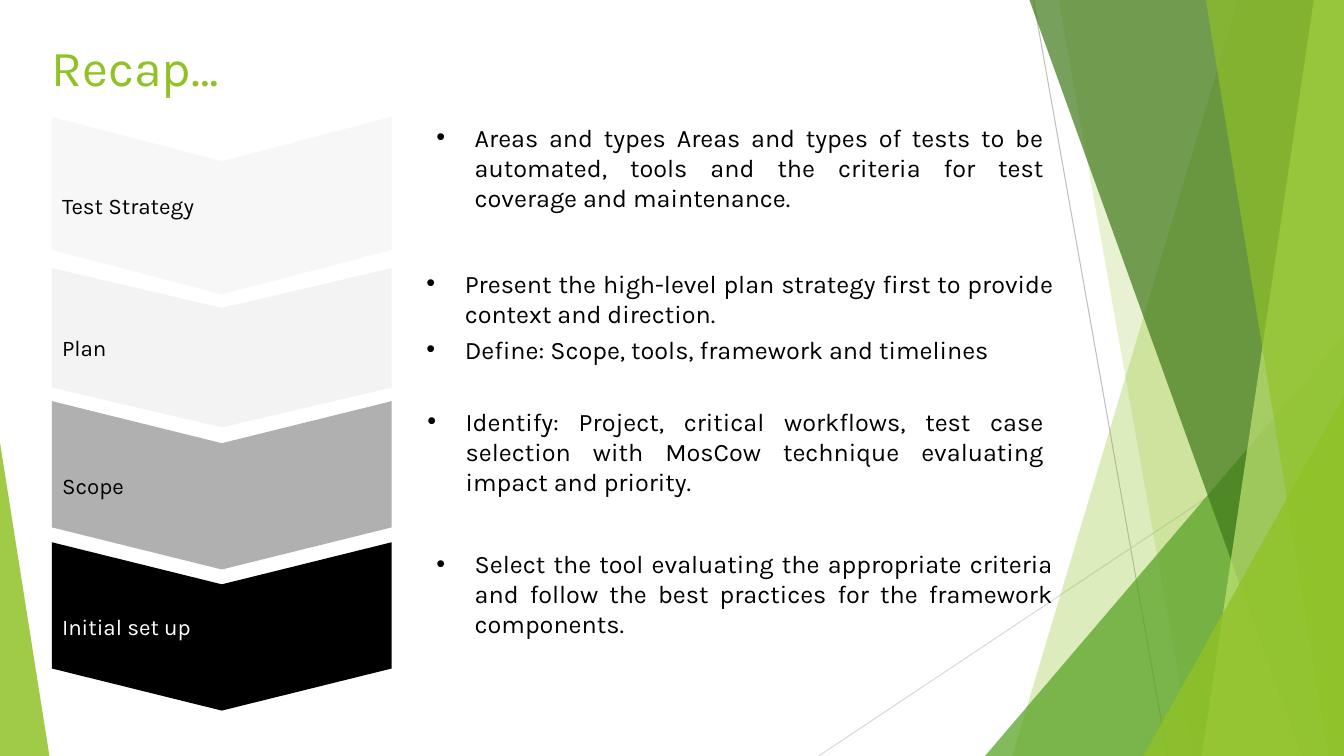
"""Build the recap slide: four stacked chevrons with notes beside them."""
from lxml import etree
from pptx import Presentation
from pptx.dml.color import RGBColor
from pptx.enum.shapes import MSO_CONNECTOR, MSO_SHAPE
from pptx.enum.text import MSO_ANCHOR, PP_ALIGN
from pptx.oxml.ns import qn
from pptx.util import Inches, Pt

LINE = MSO_CONNECTOR.STRAIGHT
CHEVRON = MSO_SHAPE.CHEVRON
WEDGE = MSO_SHAPE.ISOSCELES_TRIANGLE
MIDDLE, TOP = MSO_ANCHOR.MIDDLE, MSO_ANCHOR.TOP
LEFT, JUSTIFY = PP_ALIGN.LEFT, PP_ALIGN.JUSTIFY

LIME = RGBColor(0x90, 0xC2, 0x26)
PALE = RGBColor(0xC0, 0xE4, 0x74)
GREEN = RGBColor(0x54, 0xA0, 0x21)
DARK = RGBColor(0x3F, 0x78, 0x19)
BLACK = RGBColor(0, 0, 0)
WHITE = RGBColor(0xFF, 0xFF, 0xFF)
SNOW = RGBColor(0xF7, 0xF7, 0xF7)
MIST = RGBColor(0xF3, 0xF3, 0xF3)
GRAY = RGBColor(0xB0, 0xB0, 0xB0)
SILVER = RGBColor(0xBF, 0xBF, 0xBF)
ASH = RGBColor(0xD9, 0xD9, 0xD9)
WIDE, HIGH = 13.33, 7.5


def paint(shape, color, alpha=100):
    shape.shadow.inherit = False
    shape.line.fill.background()
    shape.fill.solid()
    shape.fill.fore_color.rgb = color
    if alpha < 100:
        tone = shape.fill._xPr.find(qn("a:solidFill"))[0]
        etree.SubElement(tone, qn("a:alpha"), val=str(alpha * 1000))


def write(frame, lines, size, color, align, inset, anchor):
    frame.word_wrap = True
    frame.vertical_anchor = anchor
    for side in ("left", "top", "right", "bottom"):
        setattr(frame, "margin_" + side, Inches(inset[side in ("top", "bottom")]))
    for i, line in enumerate(lines):
        para = frame.paragraphs[0] if i == 0 else frame.add_paragraph()
        para.alignment = align
        run = para.add_run()
        run.text = line
        style = {"name": "Karla", "size": Pt(size)}
        for key, value in style.items():
            setattr(run.font, key, value)
        run.font.color.rgb = color


deck = Presentation()
deck.slide_width, deck.slide_height = Inches(WIDE), Inches(HIGH)
slide = deck.slides.add_slide(deck.slide_layouts[6])
shapes = slide.shapes

for x1, y1, x2, y2, color in [
    (10.25, 0, 11.58, HIGH, SILVER),
    (WIDE, 4.03, 8.12, HIGH, ASH),
]:
    line = shapes.add_connector(LINE, Inches(x1), Inches(y1), Inches(x2), Inches(y2))
    line.line.color.rgb = color
    line.line.width = Pt(0.75)
    etree.SubElement(line._element.spPr, qn("a:effectLst"))

bands = [
    (12.28, 10.04, LIME, 30),
    (10.5, 11.83, LIME, 20),
    (9.77, 3.33, 3.56, 1, GREEN, 72),
    (10.21, 12.91, DARK, 70),
    (13.03, 11.92, PALE, 70),
    (11.96, 13.18, LIME, 65),
    (11.34, 3.93, 1.99, 1, LIME, 80),
    (0, 4.39, 0.49, 0, LIME, 85),
]
for *place, color, alpha in bands:
    if len(place) == 2:
        head, foot = place
        pen = shapes.build_freeform(Inches(head), 0)
        pen.add_line_segments([
            (Inches(WIDE), 0), (Inches(WIDE), Inches(HIGH)), (Inches(foot), Inches(HIGH)),
        ])
        band = pen.convert_to_shape()
    else:
        x, y, w, peak = place
        band = shapes.add_shape(WEDGE, Inches(x), Inches(y), Inches(w), Inches(HIGH - y))
        band.adjustments[0] = peak
    paint(band, color, alpha)

title = shapes.add_textbox(Inches(0.51), Inches(0.33), Inches(12.25), Inches(0.38))
write(title.text_frame, ["Recap…"], 36, LIME, LEFT, (0, 0.03), TOP)

MID, SPAN = 2.2, 3.37
steps = [
    ("Test Strategy", 1.16, 1.76, SNOW, BLACK),
    ("Plan", 2.66, 1.58, MIST, BLACK),
    ("Scope", 3.98, 1.67, GRAY, BLACK),
    ("Initial set up", 5.38, 1.67, BLACK, WHITE),
]
for label, top, deep, fill, ink in steps:
    step = shapes.add_shape(
        CHEVRON, Inches(MID - deep / 2), Inches(top + deep / 2 - SPAN / 2),
        Inches(deep), Inches(SPAN))
    step.rotation = 90
    step.adjustments[0] = 0.25
    paint(step, fill)
    write(step.text_frame, [label], 16, ink, LEFT, (0.1, 0.1), MIDDLE)
    step.text_frame._txBody.bodyPr.set("vert", "vert270")

notes = [
    (4.23, 1.16, 6.22, 1.31, (0.1, 0.05), [
        "Areas and types Areas and types of tests to be automated, tools and "
        "the criteria for test coverage and maintenance."]),
    (4.23, 2.66, 6.22, 0.96, (0, 0), [
        "Present the high-level plan strategy first to provide context and direction.",
        "Define: Scope, tools, framework and timelines"]),
    (4.14, 3.98, 6.31, 1.01, (0.1, 0.05), [
        "Identify: Project, critical workflows, test case selection with MosCow "
        "technique evaluating impact and priority."]),
    (4.23, 5.39, 6.31, 1.01, (0.1, 0.05), [
        "Select the tool evaluating the appropriate criteria and follow the best "
        "practices for the framework components."]),
]
for x, y, w, h, inset, lines in notes:
    note = shapes.add_textbox(Inches(x), Inches(y), Inches(w), Inches(h))
    write(note.text_frame, lines, 18, BLACK, JUSTIFY, inset, TOP)
    for para in note.text_frame.paragraphs:
        para.space_before = Pt(4)
        props = para._p.get_or_add_pPr()
        props.set("marL", str(Inches(0.38)))
        props.set("indent", str(Inches(-0.38)))
        etree.SubElement(props, qn("a:buFont"), typeface="Arial")
        etree.SubElement(props, qn("a:buChar"), char="•")

deck.save("out.pptx")
